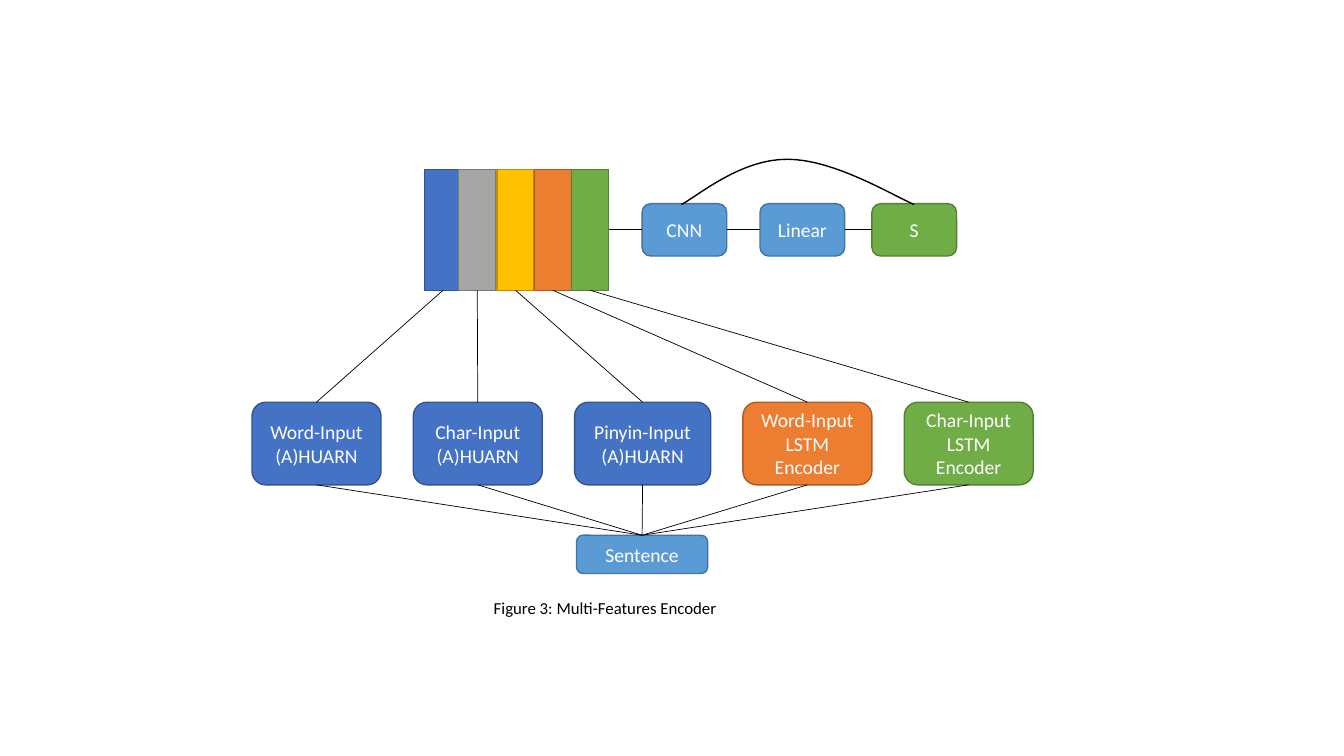
import pptx
import pptx.util
import pptx.dml.color
import pptx.enum.shapes
import pptx.enum.text
import pptx.oxml

RGB = pptx.dml.color.RGBColor
SHAPE = pptx.enum.shapes.MSO_SHAPE
BLUE = RGB(0x44, 0x72, 0xC4)
GRAY = RGB(0xA5, 0xA5, 0xA5)
GOLD = RGB(0xFF, 0xC0, 0x00)
ORANGE = RGB(0xED, 0x7D, 0x31)
GREEN = RGB(0x70, 0xAD, 0x47)
SKY = RGB(0x5B, 0x9B, 0xD5)
WHITE = RGB(0xFF, 0xFF, 0xFF)
BLACK = RGB(0x00, 0x00, 0x00)
BORDERS = {
    BLUE: RGB(0x32, 0x54, 0x91),
    GRAY: RGB(0x7A, 0x7A, 0x7A),
    GOLD: RGB(0xBD, 0x8E, 0x00),
    ORANGE: RGB(0xAF, 0x5C, 0x24),
    GREEN: RGB(0x53, 0x80, 0x35),
    SKY: RGB(0x43, 0x73, 0x9E),
}
TOP, LEFT, BOTTOM, RIGHT = range(4)  # connection sites


def grid(*cells):
    """Convert columns and rows of a tenth of an inch to lengths."""
    return [pptx.util.Inches(cell / 10) for cell in cells]


def write(tf, lines, size, color, align):
    tf.word_wrap = True
    for i, line in enumerate(lines):
        p = tf.paragraphs[0] if i == 0 else tf.add_paragraph()
        p.alignment = align
        r = p.add_run()
        r.text = line
        r.font.color.rgb = color
        for name, value in {"size": pptx.util.Pt(size), "name": "Calibri"}.items():
            setattr(r.font, name, value)


def add_box(s, kind, at, fill, lines=()):
    sp = s.shapes.add_shape(kind, *grid(*at))
    sp.shadow.inherit = False
    sp.fill.solid()
    sp.fill.fore_color.rgb = fill
    sp.line.color.rgb = BORDERS[fill]
    sp.line.width = pptx.util.Pt(1)
    sp.text_frame.vertical_anchor = pptx.enum.text.MSO_ANCHOR.MIDDLE
    write(sp.text_frame, lines, 14, WHITE, pptx.enum.text.PP_ALIGN.CENTER)
    return sp


def add_link(s, start, start_site, end, end_site):
    link = s.shapes.add_connector(pptx.enum.shapes.MSO_CONNECTOR.STRAIGHT, 0, 0, 0, 0)
    link.begin_connect(start, start_site)
    link.end_connect(end, end_site)
    link.line.color.rgb = BLACK
    link.line.width = pptx.util.Pt(0.5)
    pptx.oxml.ns  # namespace helpers for the effect list
    link._element.spPr.append(pptx.oxml.parse_xml(
        "<a:effectLst xmlns:a='http://schemas.openxmlformats.org/drawingml/2006/main'/>"))


def bezier(points, steps=16):
    """Points along a cubic curve, without its start."""
    for i in range(1, steps + 1):
        t = i / steps
        weights = ((1 - t) ** 3, 3 * t * (1 - t) ** 2, 3 * t * t * (1 - t), t ** 3)
        yield grid(*(sum(w * point[axis] for w, point in zip(weights, points))
                     for axis in (0, 1)))


def add_arc(s, start, *halves):
    builder = s.shapes.build_freeform(*grid(*start))
    for half in halves:
        builder.add_line_segments(list(bezier((start, *half))), close=False)
        start = half[-1]
    arc = builder.convert_to_shape()
    arc.shadow.inherit = False
    arc.fill.background()
    arc.line.color.rgb = BLACK
    arc.line.width = pptx.util.Pt(1)


def main():
    prs = pptx.Presentation()
    prs.slide_width, prs.slide_height = grid(133.33, 75)
    s = prs.slides.add_slide(prs.slide_layouts[6])

    # Sentence and the row of encoders, parted by equal gaps
    sentence = add_box(s, SHAPE.ROUNDED_RECTANGLE, (57.2, 53.1, 13, 3.8), SKY, ["Sentence"])
    encoders = []
    left, gap = 25, 3.2
    for source, model, width, fill in (
        ("Word-Input", "(A)HUARN", 12.8, BLUE),
        ("Char-Input", "(A)HUARN", 12.8, BLUE),
        ("Pinyin-Input", "(A)HUARN", 13.5, BLUE),
        ("Word-Input", "LSTM Encoder", 12.8, ORANGE),
        ("Char-Input", "LSTM Encoder", 12.8, GREEN),
    ):
        encoders.append(add_box(s, SHAPE.ROUNDED_RECTANGLE, (left, 39.9, width, 8.2),
                                fill, [source, model]))
        left += width + gap

    # Feature strips, one for each encoder
    strips = [add_box(s, SHAPE.RECTANGLE, (col, 16.8, 3.7, 12), fill)
              for col, fill in ((42.1, BLUE), (45.5, GRAY), (49.3, GOLD),
                                (53, ORANGE), (56.7, GREEN))]
    for encoder, strip in zip(encoders, strips):
        add_link(s, sentence, TOP, encoder, BOTTOM)
        add_link(s, encoder, TOP, strip, BOTTOM)

    # Chain from the strips to the output
    chain = [strips[-1]]
    for name, col, fill in (("CNN", 63.7, SKY), ("Linear", 75.4, SKY), ("S", 86.5, GREEN)):
        chain.append(add_box(s, SHAPE.ROUNDED_RECTANGLE, (col, 20.2, 8.4, 5.2), fill, [name]))
    for before, after in zip(chain, chain[1:]):
        add_link(s, before, RIGHT, after, LEFT)

    # Skip curve from CNN to S
    add_arc(s, (67.6, 20.3),
            ((69.4, 19.3), (73.5, 15.8), (78.1, 15.8)),
            ((82.7, 15.8), (88.4, 19.3), (90.7, 20.3)))

    # Caption
    caption = s.shapes.add_textbox(*grid(48, 58.8, 27.3, 3))
    write(caption.text_frame, ["Figure 3: Multi-Features Encoder"], 12, BLACK,
          pptx.enum.text.PP_ALIGN.LEFT)

    prs.save("out.pptx")


main()
